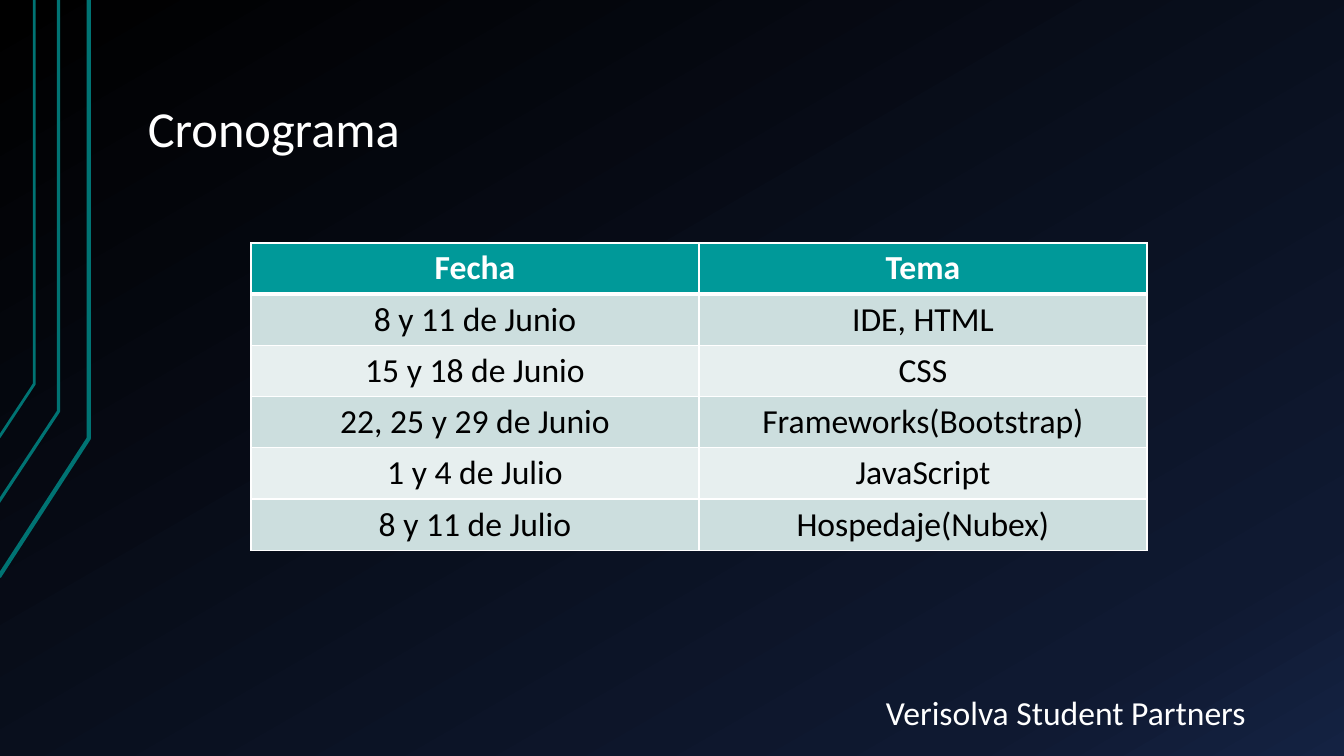
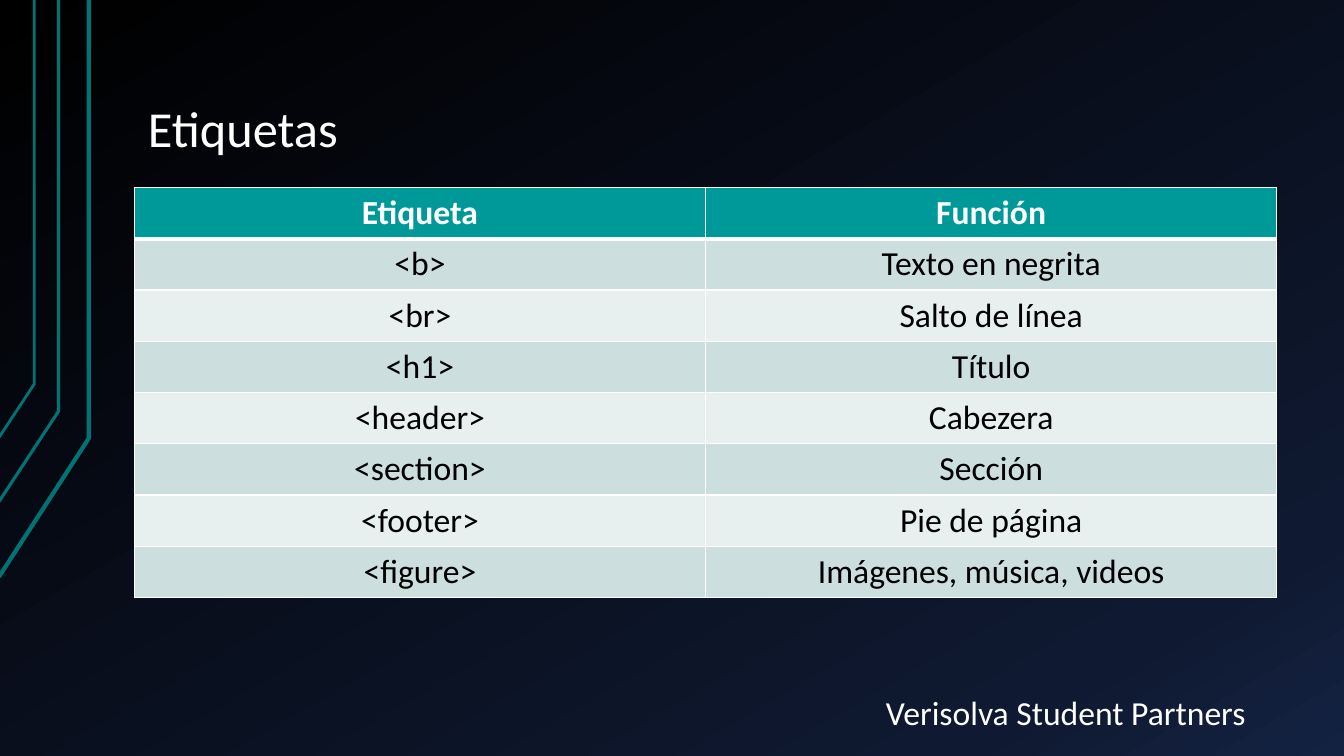
from copy import deepcopy

from lxml.etree import SubElement
from pptx import Presentation
from pptx.dml.color import RGBColor
from pptx.enum.text import MSO_ANCHOR, MSO_AUTO_SIZE, PP_ALIGN
from pptx.oxml.ns import qn
from pptx.util import Pt

HEX = {
    "white": "FFFFFF",
    "black": "000000",
    "head": "009999",
    "odd": "CCDEDE",
    "even": "E7EFEF",
    "rail": "007373",
}
GLOW = [(0, "000000"), (0.85, "0F1931"), (1, "142242")]
RAILS = [
    (3, [(-0.7, 412), (63.4, 313.2), (63.4, 0)]),
    (2.25, [(-1.4, 359.3), (41.8, 293.8), (41.8, 0)]),
    (2, [(-0.7, 312.5), (24.5, 274.3), (24.5, 0)]),
]
FOOTER = "Verisolva Student Partners"
DATES = [
    ("Fecha", "Tema"),
    ("8 y 11 de Junio", "IDE, HTML"),
    ("15 y 18 de Junio", "CSS"),
    ("22, 25 y 29 de Junio", "Frameworks(Bootstrap)"),
    ("1 y 4 de Julio", "JavaScript"),
    ("8 y 11 de Julio", "Hospedaje(Nubex)"),
]
TAGS = [
    ("Etiqueta", "Función"),
    ("<b>", "Texto en negrita"),
    ("<br>", "Salto de línea"),
    ("<h1>", "Título"),
    ("<header>", "Cabezera"),
    ("<section>", "Sección"),
    ("<footer>", "Pie de página"),
    ("<figure>", "Imágenes, música, videos"),
]


def color(name):
    return RGBColor.from_string(HEX[name])


class Deck:
    font = "Calibri"
    row = 36.6

    def __init__(self):
        self.prs = Presentation()
        self.prs.slide_width, self.prs.slide_height = Pt(960), Pt(540)
        self.slide = None
        self.glow()

    def glow(self):
        """Give the master its three-stop gradient background."""
        master = self.prs.slide_master
        fill = master.background.fill
        fill.gradient()
        fill.gradient_angle = 300
        stops = master.element.find(".//" + qn("a:gsLst"))
        stops.append(deepcopy(stops[-1]))
        for stop, (place, tone) in zip(fill.gradient_stops, GLOW):
            stop.position = place
            stop.color.rgb = RGBColor.from_string(tone)

    def page(self, title):
        self.slide = self.prs.slides.add_slide(self.prs.slide_layouts[5])
        for width, points in RAILS:
            self.rail(width, points)
        self.footer()
        self.title(title)

    def label(self, frame, text, size, tone="white", bold=False,
              align=PP_ALIGN.LEFT):
        frame.text = text
        par = frame.paragraphs[0]
        par.alignment = align
        font = par.runs[0].font
        font.name, font.size, font.bold = self.font, Pt(size), bold
        font.color.rgb = color(tone)
        return par

    def inset(self, frame, side, edge):
        frame.margin_left = frame.margin_right = Pt(side)
        frame.margin_top = frame.margin_bottom = Pt(edge)
        frame.word_wrap = True

    def rail(self, width, points):
        (x, y), *rest = [(Pt(a), Pt(b)) for a, b in points]
        pen = self.slide.shapes.build_freeform(x, y)
        pen.add_line_segments(rest, close=False)
        shape = pen.convert_to_shape()
        shape.shadow.inherit = False
        shape.fill.background()
        shape.line.color.rgb = color("rail")
        shape.line.width = Pt(width)

    def footer(self):
        box = self.slide.shapes.add_textbox(Pt(618.5), Pt(486), Pt(340), Pt(50))
        self.inset(box.text_frame, 14.4, 11.5)
        par = self.label(box.text_frame, FOOTER, 24)
        par.line_spacing, par.space_after = 0.9, Pt(6)

    def title(self, text):
        shape = self.slide.shapes.title
        shape.left, shape.top = Pt(96), Pt(21.6)
        shape.width, shape.height = Pt(816), Pt(96.5)
        frame = shape.text_frame
        self.inset(frame, 9.6, 4.8)
        frame.auto_size = MSO_AUTO_SIZE.NONE
        frame.vertical_anchor = MSO_ANCHOR.BOTTOM
        self.label(frame, text, 36).line_spacing = 0.9

    def table(self, left, top, width, rows):
        cols = len(rows[0])
        table = self.slide.shapes.add_table(
            len(rows), cols, Pt(left), Pt(top), Pt(width),
            Pt(self.row * len(rows))).table
        for col in table.columns:
            col.width = Pt(width / cols)
        for i, texts in enumerate(rows):
            table.rows[i].height = Pt(self.row)
            for j, text in enumerate(texts):
                self.cell(table.cell(i, j), i, text)

    def cell(self, cell, i, text):
        head = i == 0
        cell.fill.solid()
        cell.fill.fore_color.rgb = color(
            "head" if head else "odd" if i % 2 else "even")
        cell.vertical_anchor = MSO_ANCHOR.MIDDLE
        self.label(cell.text_frame, text, 24, "white" if head else "black",
                   head, PP_ALIGN.CENTER)
        self.border(cell, L=1, R=1, T=3 if i == 1 else 1, B=3 if head else 1)

    def border(self, cell, **widths):
        props = cell._tc.get_or_add_tcPr()
        for k, (side, width) in enumerate(widths.items()):
            line = props.makeelement(qn("a:ln" + side), {"w": str(Pt(width))})
            fill = SubElement(line, qn("a:solidFill"))
            SubElement(fill, qn("a:srgbClr"), val=HEX["white"])
            props.insert(k, line)


def main():
    deck = Deck()
    deck.page("Cronograma")
    deck.table(179.3, 173.5, 640, DATES)
    deck.page("Etiquetas")
    deck.table(96, 134, 816, TAGS)
    deck.prs.save("out.pptx")


if __name__ == "__main__":
    main()
